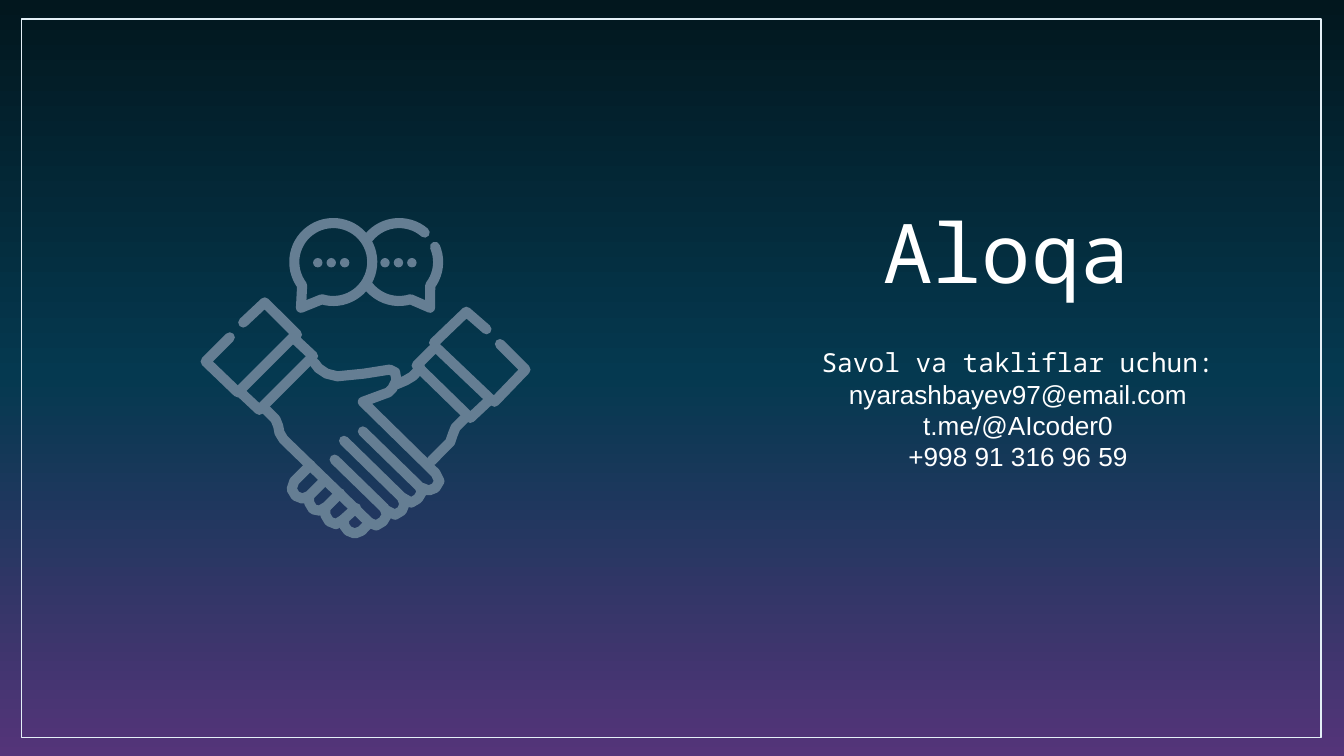
from copy import deepcopy
from dataclasses import dataclass
from math import cos, radians, sin

from lxml import etree
from pptx import Presentation, util as u
from pptx.dml.color import RGBColor
from pptx.enum import shapes as kind, text as txt
from pptx.oxml.ns import qn

WHITE = RGBColor(0xFF, 0xFF, 0xFF)
FRAME = RGBColor(0xE4, 0xF0, 0xF7)
STEEL = RGBColor(0x65, 0x7E, 0x93)
SKY = [
    (0, RGBColor(0x54, 0x34, 0x79)),
    (0.5, RGBColor(0x05, 0x39, 0x50)),
    (1, RGBColor(0x02, 0x17, 0x1E)),
]
MONO, SANS = "Noto Sans Mono", "Arial"
Point = tuple[float, float]


@dataclass
class Stroke:
    pts: list[Point]
    closed: bool = False


@dataclass
class Line:
    text: str
    font: str = SANS


def arc(mid: Point, start: int, end: int, radius: float = 0.29) -> list[Point]:
    steps = max(abs(end - start) // 6, 2)
    turns = [radians(start + (end - start) * i / steps) for i in range(steps + 1)]
    return [(mid[0] + radius * cos(t), mid[1] + radius * sin(t)) for t in turns]


CUFFS = [
    Stroke([(2.18, 2.51), (2.33, 2.65), (1.93, 3.05), (1.78, 2.91)], True),
    Stroke([(1.81, 2.4), (1.97, 2.25), (2.21, 2.49)]),
    Stroke([(1.71, 2.51), (1.53, 2.69), (1.77, 2.92)]),
    Stroke([(3.24, 2.58), (3.65, 2.97), (3.5, 3.11), (3.1, 2.72)], True),
    Stroke([(3.62, 2.45), (3.47, 2.32), (3.23, 2.55)]),
    Stroke([(3.72, 2.56), (3.91, 2.75), (3.68, 2.99)]),
]
PALMS = [
    Stroke([(2.34, 2.7), (2.37, 2.74), (2.43, 2.78), (2.51, 2.8), (2.71, 2.78),
            (2.9, 2.75), (2.94, 2.77), (2.95, 2.83), (2.92, 2.89), (2.89, 2.92),
            (2.7, 2.99), (3.24, 3.52), (3.27, 3.58), (3.24, 3.63), (3.19, 3.65),
            (3.14, 3.63)]),
    Stroke([(2.95, 2.86), (3.02, 2.83), (3.07, 2.8), (3.13, 2.74)]),
    Stroke([(3.46, 3.11), (3.39, 3.18), (3.37, 3.23), (3.35, 3.29), (3.21, 3.43)]),
    Stroke([(1.98, 3.05), (2.05, 3.12), (2.07, 3.17), (2.08, 3.22), (2.11, 3.27),
            (2.75, 3.89)]),
]
FINGERS = [
    Stroke([(2.7, 3.21), (3.12, 3.62), (3.14, 3.66), (3.11, 3.71), (3.06, 3.74),
            (2.99, 3.7)]),
    Stroke([(2.56, 3.28), (2.99, 3.7), (3.01, 3.75), (2.99, 3.8), (2.94, 3.83),
            (2.88, 3.8)]),
    Stroke([(2.49, 3.42), (2.86, 3.78), (2.88, 3.83), (2.85, 3.88), (2.8, 3.91),
            (2.75, 3.89)]),
    Stroke([(2.31, 3.46), (2.19, 3.58), (2.17, 3.64), (2.2, 3.69), (2.25, 3.71),
            (2.3, 3.69), (2.42, 3.57)]),
    Stroke([(2.3, 3.69), (2.3, 3.74), (2.33, 3.79), (2.38, 3.8), (2.43, 3.77),
            (2.53, 3.67)]),
    Stroke([(2.42, 3.78), (2.42, 3.83), (2.45, 3.88), (2.5, 3.9), (2.55, 3.87),
            (2.65, 3.78)]),
    Stroke([(2.56, 3.87), (2.56, 3.91), (2.59, 3.95), (2.64, 3.97), (2.69, 3.95),
            (2.75, 3.89)]),
]
LEFT, RIGHT = (2.48, 1.95), (2.97, 1.95)
CHAT = [
    Stroke(arc(LEFT, 107, -217) + [(2.24, 2.29)], True),
    Stroke(arc(RIGHT, 218, 311)),
    Stroke(arc(RIGHT, -23, 37) + [(3.2, 2.29)] + arc(RIGHT, 73, 143)),
]


def emu(pts: list[Point]) -> list[tuple[int, int]]:
    return [(u.Inches(x), u.Inches(y)) for x, y in pts]


def sketch(group, strokes: list[Stroke]) -> None:
    pen = group.shapes.build_freeform(*emu(strokes[0].pts)[0], scale=1.0)
    for i, stroke in enumerate(strokes):
        first, *rest = emu(stroke.pts)
        if i:
            pen.move_to(*first)
        pen.add_line_segments(rest, close=stroke.closed)
    shape = pen.convert_to_shape()
    shape.shadow.inherit = False
    shape.fill.background()
    shape.line.color.rgb = STEEL
    shape.line.width = u.Pt(5.4)
    edge = shape.line._get_or_add_ln()
    edge.set("cap", "rnd")
    etree.SubElement(edge, qn("a:round"))


def dot(group, x: float, y: float, size: float = 0.07) -> None:
    shape = group.shapes.add_shape(
        kind.MSO_SHAPE.OVAL, u.Inches(x), u.Inches(y), u.Inches(size), u.Inches(size))
    shape.shadow.inherit = False
    shape.fill.solid()
    shape.fill.fore_color.rgb = STEEL
    shape.line.fill.background()


def write(slide, lines: list[Line], *, box: tuple[float, ...], size: int,
          anchor=txt.MSO_ANCHOR.TOP) -> None:
    frame = slide.shapes.add_textbox(*map(u.Inches, box)).text_frame
    frame.word_wrap = True
    frame.vertical_anchor = anchor
    frame.margin_left = frame.margin_right = u.Inches(0.1)
    frame.margin_top = frame.margin_bottom = u.Inches(0.1)
    for i, line in enumerate(lines):
        para = frame.add_paragraph() if i else frame.paragraphs[0]
        para.alignment = txt.PP_ALIGN.CENTER
        run = para.add_run()
        run.text = line.text
        run.font.name = line.font
        run.font.size = u.Pt(size)
        run.font.color.rgb = WHITE


def paint(slide) -> None:
    fill = slide.background.fill
    fill.gradient()
    fill.gradient_angle = 90
    stops = slide._element.find(".//" + qn("a:gsLst"))
    stops.append(deepcopy(stops[0]))
    for stop, (place, color) in zip(fill.gradient_stops, SKY):
        stop.position = place
        stop.color.rgb = color


def border(slide) -> None:
    rect = slide.shapes.add_shape(
        kind.MSO_SHAPE.RECTANGLE, *map(u.Inches, (0.16, 0.14, 9.67, 5.35)))
    rect.shadow.inherit = False
    rect.fill.background()
    rect.line.color.rgb = FRAME
    rect.line.width = u.Pt(0.75)


def main() -> None:
    deck = Presentation()
    deck.slide_width = u.Inches(10)
    deck.slide_height = deck.slide_width * 9 // 16
    slide = deck.slides.add_slide(deck.slide_layouts[6])
    paint(slide)
    border(slide)
    write(slide, [
        Line("Savol va takliflar uchun:", MONO),
        Line("nyarashbayev97@email.com"),
        Line("t.me/@AIcoder0"),
        Line("+998 91 316 96 59"),
    ], box=(5.23, 2.48, 4.69, 1.27), size=14)
    write(slide, [Line("Aloqa", MONO)], box=(5.98, 1.31, 3.02, 1.02), size=44,
          anchor=txt.MSO_ANCHOR.BOTTOM)
    icon = slide.shapes.add_group_shape()
    sketch(icon, CUFFS + PALMS + FINGERS)
    sketch(icon, CHAT)
    for start in (2.33, 2.83):
        for i in range(3):
            dot(icon, start + 0.1 * i, 1.92)
    deck.save("out.pptx")


if __name__ == "__main__":
    main()
